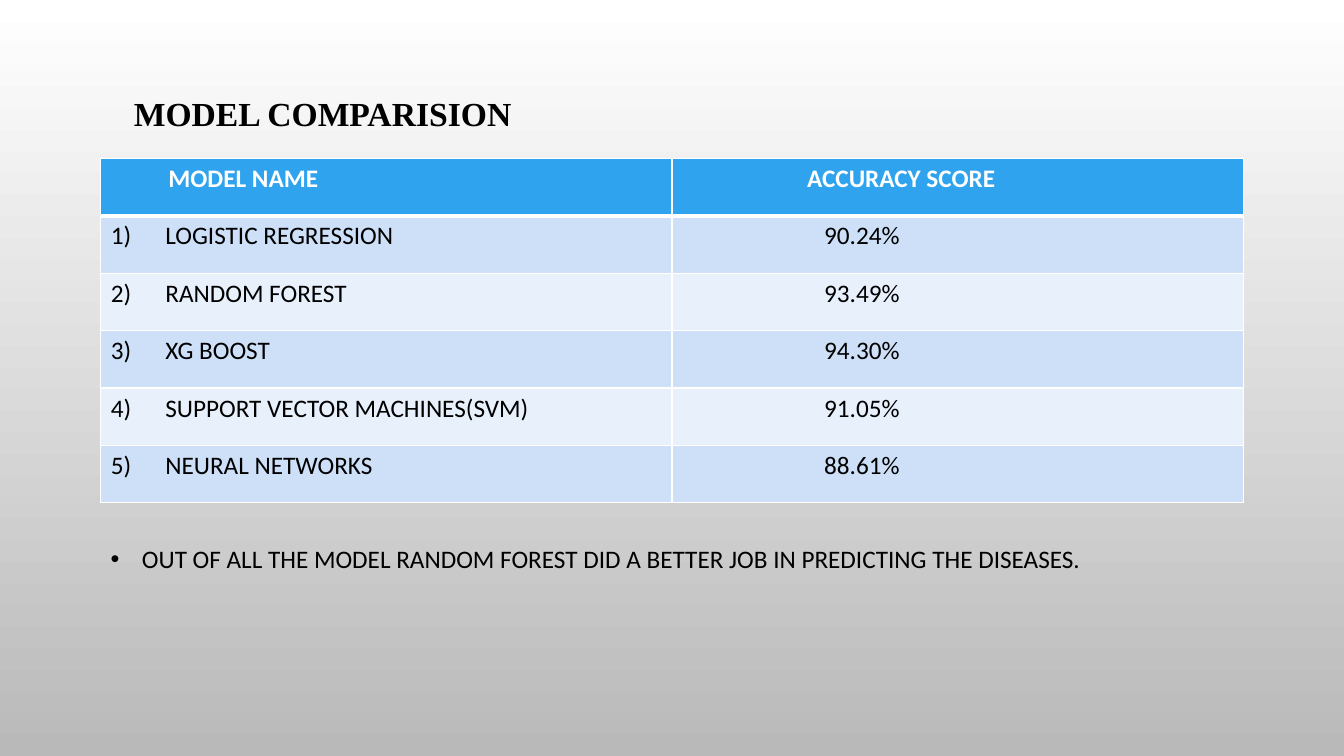
from lxml import etree
from pptx import Presentation
from pptx import util as u
from pptx.dml.color import RGBColor
from pptx.enum import text
from pptx.oxml.ns import qn

W, H = 13.33, 7.5
MARGIN = 1
TABLE_W = W - 2 * MARGIN
HEADERS = [("MODEL NAME", 0.57), ("ACCURACY SCORE", 1.24)]
SCORES = [
    ("LOGISTIC REGRESSION", "90.24%"),
    ("RANDOM FOREST", "93.49%"),
    ("XG BOOST", "94.30%"),
    ("SUPPORT VECTOR MACHINES(SVM)", "91.05%"),
    ("NEURAL NETWORKS", "88.61%"),
]
NUMBER_INDENT, SCORE_INDENT = 0.54, 1.41


def rgb(value):
    return RGBColor.from_string(value)


def indent(p, left, first=0):
    pPr = p._p.get_or_add_pPr()
    pPr.set("marL", str(u.Inches(left)))
    pPr.set("indent", str(u.Inches(first)))
    return pPr


def style(p, content, size=18, name="Calibri", color="000000", bold=False):
    p.text = content
    p.font.size, p.font.name, p.font.bold = u.Pt(size), name, bold
    p.font.color.rgb = rgb(color)


def borders(cell, bottom):
    tcPr = cell._tc.get_or_add_tcPr()
    widths = {"lnL": 1, "lnR": 1, "lnT": 1, "lnB": bottom}
    for i, (side, width) in enumerate(widths.items()):
        ln = etree.Element(qn("a:" + side), w=str(u.Pt(width)))
        fill = etree.SubElement(ln, qn("a:solidFill"))
        etree.SubElement(fill, qn("a:srgbClr"), val="FFFFFF")
        tcPr.insert(i, ln)


def add_background(s):
    fill = s.background.fill
    fill.gradient()
    fill.gradient_angle = 270
    for stop, color in zip(fill.gradient_stops, ("FFFFFF", "B9B9B9")):
        stop.color.rgb = rgb(color)


def add_text(s, box, anchor):
    tf = s.shapes.add_textbox(*map(u.Inches, box)).text_frame
    tf.word_wrap = True
    tf.vertical_anchor = anchor
    return tf


def add_title(s, box):
    p = add_text(s, box, text.MSO_ANCHOR.MIDDLE).paragraphs[0]
    style(p, "MODEL COMPARISION", 24, "Times New Roman", bold=True)
    p.line_spacing = 0.9


def fill_cell(cell, content, left, first, fill, header):
    cell.fill.solid()
    cell.fill.fore_color.rgb = rgb(fill)
    borders(cell, 3 if header else 1)
    p = cell.text_frame.paragraphs[0]
    style(p, content, color="FFFFFF" if header else "000000", bold=header)
    indent(p, left, first)


def add_scores(s, box):
    table = s.shapes.add_table(len(SCORES) + 1, 2, *map(u.Inches, box)).table
    for col, (label, left) in enumerate(HEADERS):
        fill_cell(table.cell(0, col), label, left, 0, "2FA3EE", True)
    for row, (model, score) in enumerate(SCORES, 1):
        fill = "CDE0F8" if row % 2 else "E8F0FC"
        fill_cell(table.cell(row, 0), f"{row})\t{model}",
                  NUMBER_INDENT, -NUMBER_INDENT, fill, False)
        fill_cell(table.cell(row, 1), score, SCORE_INDENT, 0, fill, False)


def add_conclusion(s, box):
    tf = add_text(s, box, text.MSO_ANCHOR.TOP)
    tf.auto_size = text.MSO_AUTO_SIZE.SHAPE_TO_FIT_TEXT
    p = tf.paragraphs[0]
    style(p, "OUT OF ALL THE MODEL RANDOM FOREST DID A BETTER JOB "
             "IN PREDICTING THE DISEASES.")
    pPr = indent(p, 0.31, -0.31)
    font = etree.Element(qn("a:buFont"), typeface="Arial")
    bullet = etree.Element(qn("a:buChar"), char="•")
    pPr.insert(0, font)
    pPr.insert(1, bullet)


def main():
    prs = Presentation()
    prs.slide_width, prs.slide_height = u.Inches(W), u.Inches(H)
    s = prs.slides.add_slide(prs.slide_layouts[6])
    add_background(s)
    add_title(s, (1.23, 0.48, TABLE_W, 1.33))
    add_scores(s, (MARGIN, 1.57, TABLE_W, 3.42))
    add_conclusion(s, (MARGIN, 5.34, 10.7, 0.4))
    prs.save("out.pptx")


if __name__ == "__main__":
    main()
